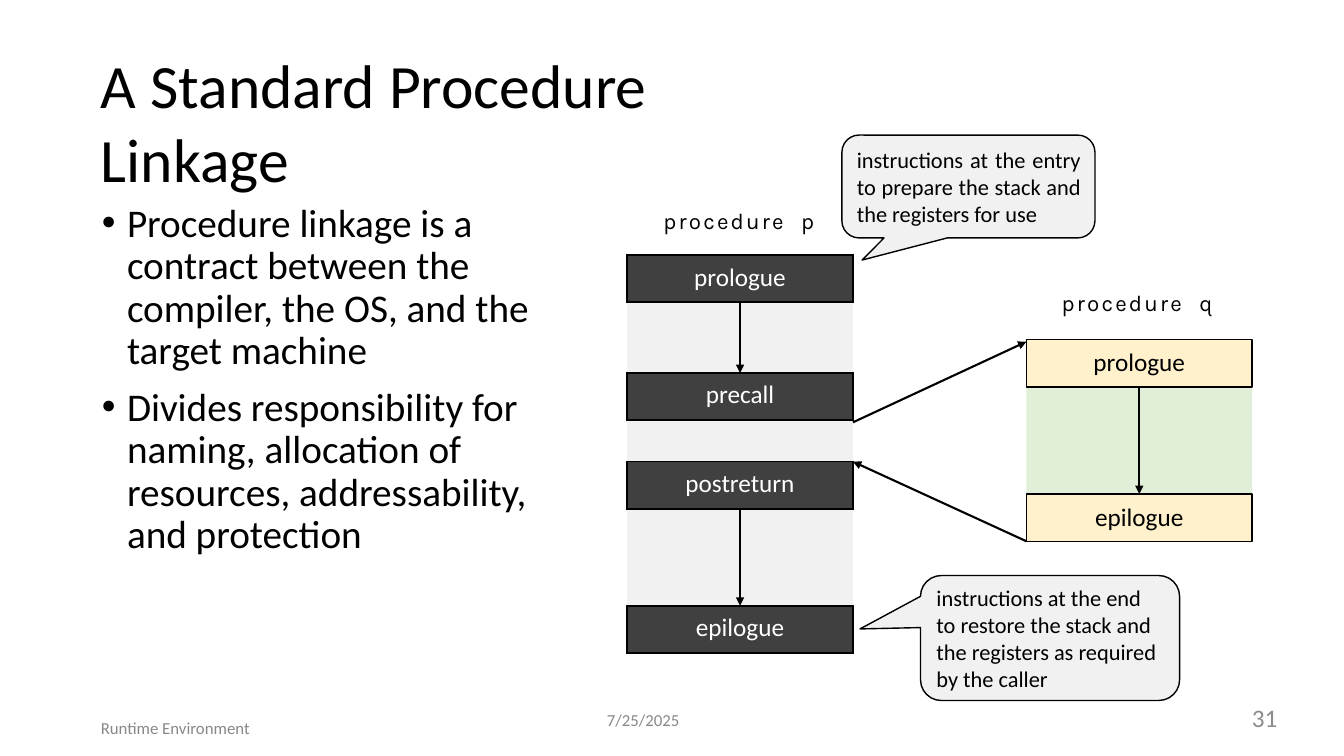
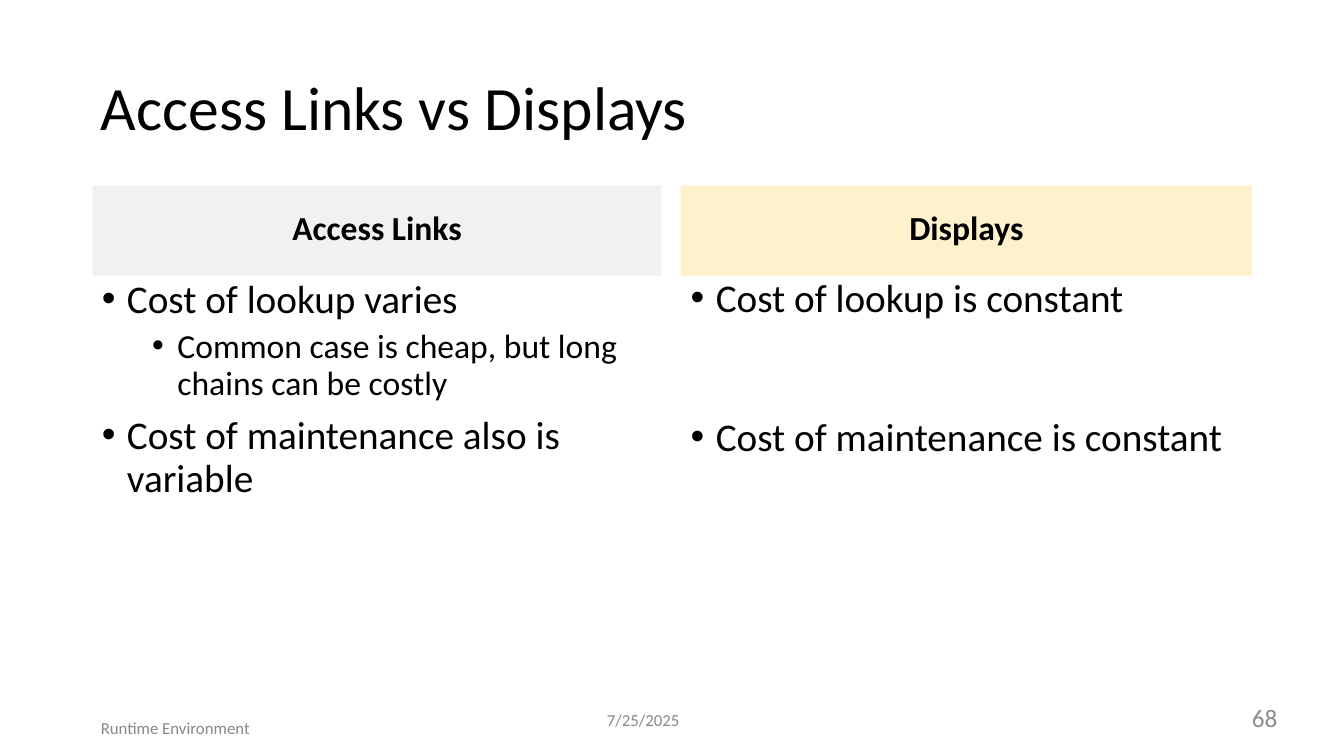
from itertools import accumulate

from lxml import etree
from pptx import Presentation
from pptx.dml.color import RGBColor
from pptx.enum.shapes import MSO_CONNECTOR, MSO_SHAPE
from pptx.enum.text import MSO_ANCHOR, PP_ALIGN
from pptx.oxml.ns import qn
from pptx.util import Inches, Pt

LEFT, CENTER, RIGHT = PP_ALIGN.LEFT, PP_ALIGN.CENTER, PP_ALIGN.RIGHT
JUSTIFY = PP_ALIGN.JUSTIFY
TOP, MIDDLE = MSO_ANCHOR.TOP, MSO_ANCHOR.MIDDLE
RECTANGLE, CALLOUT = MSO_SHAPE.RECTANGLE, MSO_SHAPE.ROUNDED_RECTANGULAR_CALLOUT
STRAIGHT = MSO_CONNECTOR.STRAIGHT

COLORS = {
    "ink": "000000",
    "white": "FFFFFF",
    "dark": "404040",
    "light": "F1F1F1",
    "cream": "FFF1CC",
    "green": "E1EFD9",
    "footer": "888888",
    "number": "8C8C8C",
}

# Paragraph formats
TITLE = {"size": 44}
HEADER = {"size": 24, "bold": True, "align": CENTER}
STAGE = {"size": 18, "align": CENTER}
LABEL = {"size": 16, "font": "Karla"}
NOTE = {"size": 16}
FOOTER = {"size": 12, "color": "footer", "spacing": Pt(12.4)}
NUMBER = {"size": 18, "color": "number", "align": RIGHT}
BULLET = {"size": 28, "bullet": 0.26}
TIGHT_BULLET = {**BULLET, "spacing": 0.9, "before": 10.5}
NEXT_BULLET = {**BULLET, "spacing": Pt(30.2), "before": 9.8}
SUB_BULLET = {"size": 24, "bullet": 0.76, "spacing": Pt(25.9), "before": 5.7}

# Content of the linkage slide
LINKAGE = {"title": "A Standard Procedure Linkage", "number": "31",
           "title_at": (1, 0.47, 6.5, 1.5)}
LINKAGE_POINTS = [
    ("Procedure linkage is a contract between the compiler, the OS, "
     "and the target machine", TIGHT_BULLET),
    ("Divides responsibility for naming, allocation of resources, "
     "addressability, and protection", TIGHT_BULLET),
]
# Rows of procedure p: name (empty for the body between stages), height
P_ROWS = [("prologue", 0.47), ("", 0.7), ("precall", 0.47), ("", 0.41),
          ("postreturn", 0.47), ("", 0.96), ("epilogue", 0.47)]
P_LEFT, P_TOP = 6.22, 2.53
Q_LEFT, Q_TOP = 10.18, 3.37
COLUMN_WIDTH, STAGE_HEIGHT, Q_BODY_HEIGHT = 2.24, 0.47, 1.06
LABELS = [("p", (6.58, 2.06, 1.7, 0.3)), ("q", (10.53, 2.87, 1.7, 0.3))]
# Text, place, tip of the pointer, alignment, right inset
CALLOUTS = [
    ("instructions at the entry to prepare the stack and the registers for use",
     (8.35, 1.34, 2.51, 1.02), (8.55, 2.58), JUSTIFY, 0.09),
    ("instructions at the end to restore the stack and the registers as "
     "required by the caller",
     (9.13, 5.71, 2.57, 1.24), (8.53, 6.24), LEFT, 0.14),
]

# Content of the comparison slide
COMPARISON = {"title": "Access Links vs Displays", "number": "68",
              "title_at": (1, 0.68, 10.89, 0.8)}
COLUMNS = [
    {"header": "Access Links", "fill": "light", "at": (0.92, 1.84, 5.64, 0.9),
     "lists": [((1, 2.72, 5.2, 2.3), [
         ("Cost of lookup varies", BULLET),
         ("Common case is cheap, but long chains can be costly", SUB_BULLET),
         ("Cost of maintenance also is variable", NEXT_BULLET)])]},
    {"header": "Displays", "fill": "cream", "at": (6.75, 1.84, 5.67, 0.9),
     "lists": [
         ((6.84, 2.71, 5.4, 0.5), [("Cost of lookup is constant", BULLET)]),
         ((6.84, 4.09, 5.4, 0.5),
          [("Cost of maintenance is constant", BULLET)])]},
]


def rgb(name):
    return RGBColor.from_string(COLORS[name])


def add_span(para, text, style, tracking=None):
    span = para.add_run()
    span.text = text
    font = {"name": style.get("font", "Calibri"), "size": Pt(style["size"]),
            "bold": style.get("bold", False)}
    for key, value in font.items():
        setattr(span.font, key, value)
    span.font.color.rgb = rgb(style.get("color", "ink"))
    if tracking:
        span.font._element.set("spc", str(round(tracking * 100)))


def format_para(para, style):
    layout = {"alignment": style.get("align", LEFT),
              "line_spacing": style.get("spacing"),
              "space_before": Pt(style.get("before", 0))}
    for key, value in layout.items():
        setattr(para, key, value)
    if "bullet" in style:
        props = para._p.get_or_add_pPr()
        props.set("marL", str(Inches(style["bullet"])))
        props.set("indent", str(Inches(-0.25)))
        etree.SubElement(props, qn("a:buFont")).set("typeface", "Arial")
        etree.SubElement(props, qn("a:buChar")).set("char", "•")


def fill_frame(frame, items, insets=(0, 0, 0, 0), anchor=TOP):
    """Write (text, style) items as the paragraphs of a frame."""
    frame.word_wrap = True
    frame.vertical_anchor = anchor
    for side, inset in zip(("left", "top", "right", "bottom"), insets):
        setattr(frame, f"margin_{side}", Inches(inset))
    for index, (text, style) in enumerate(items):
        para = frame.add_paragraph() if index else frame.paragraphs[0]
        format_para(para, style)
        add_span(para, text, style)


def add_text(page, place, items):
    box = page.shapes.add_textbox(*map(Inches, place))
    fill_frame(box.text_frame, items)
    return box


def add_block(page, place, fill, outlined=False, kind=RECTANGLE):
    block = page.shapes.add_shape(kind, *map(Inches, place))
    block.shadow.inherit = False
    block.fill.solid()
    block.fill.fore_color.rgb = rgb(fill)
    if outlined:
        block.line.color.rgb = rgb("ink")
        block.line.width = Pt(1)
    else:
        block.line.fill.background()
    return block


def add_arrow(page, start, end):
    arrow = page.shapes.add_connector(STRAIGHT, *map(Inches, start + end))
    arrow.line.color.rgb = rgb("ink")
    arrow.line.width = Pt(1.5)
    etree.SubElement(arrow.line._get_or_add_ln(), qn("a:tailEnd")).set(
        "type", "triangle")
    etree.SubElement(arrow._element.spPr, qn("a:effectLst"))


def set_borders(cell, sides):
    """Draw black borders on the named sides and none on the others."""
    props = cell._tc.get_or_add_tcPr()
    for side in "LRTB":
        line = etree.SubElement(props, qn(f"a:ln{side}"), w=str(Pt(1.5)))
        if side in sides:
            solid = etree.SubElement(line, qn("a:solidFill"))
            etree.SubElement(solid, qn("a:srgbClr")).set("val", COLORS["ink"])
        else:
            etree.SubElement(line, qn("a:noFill"))


def add_page(deck, info):
    """Start a page with the shared title and footers."""
    page = deck.slides.add_slide(deck.slide_layouts[6])
    for text, place, style in [
        (info["title"], info["title_at"], TITLE),
        ("Runtime Environment", (1, 7.15, 2.33, 0.35), FOOTER),
        ("7/25/2025", (6.02, 7.07, 1.28, 0.19), FOOTER),
        (info["number"], (9.6, 6.97, 3.07, 0.38), NUMBER),
    ]:
        add_text(page, place, [(text, style)])
    return page


def add_procedure_p(page):
    """Draw procedure p as a table; return the edges of its rows."""
    heights = [height for _, height in P_ROWS]
    place = (P_LEFT, P_TOP, COLUMN_WIDTH, sum(heights))
    table = page.shapes.add_table(len(P_ROWS), 1, *map(Inches, place)).table
    table.first_row = table.horz_banding = False
    for row, (name, height) in enumerate(P_ROWS):
        table.rows[row].height = Inches(height)
        cell = table.cell(row, 0)
        set_borders(cell, "LRTB" if name else "TB")
        cell.fill.solid()
        cell.fill.fore_color.rgb = rgb("dark" if name else "light")
        cell.margin_left = cell.margin_right = cell.margin_bottom = 0
        cell.margin_top = Inches(0.07 if name else 0)
        if name:
            para = cell.text_frame.paragraphs[0]
            format_para(para, STAGE)
            add_span(para, name, {**STAGE, "color": "white"})
    return list(accumulate(heights, initial=P_TOP))


def add_procedure_q(page):
    """Draw procedure q; return the top and bottom of its body."""
    body_top = Q_TOP + STAGE_HEIGHT
    body_bottom = body_top + Q_BODY_HEIGHT
    add_block(page, (Q_LEFT, body_top, COLUMN_WIDTH, Q_BODY_HEIGHT), "green")
    for name, top in (("prologue", Q_TOP), ("epilogue", body_bottom)):
        place = (Q_LEFT, top, COLUMN_WIDTH, STAGE_HEIGHT)
        stage = add_block(page, place, "cream", outlined=True)
        fill_frame(stage.text_frame, [(name, STAGE)], (0, 0.07, 0, 0))
    return body_top, body_bottom


def build_linkage(deck):
    page = add_page(deck, LINKAGE)
    add_text(page, (1, 2.02, 4.35, 3.57), LINKAGE_POINTS)
    edges = add_procedure_p(page)
    q_body = add_procedure_q(page)

    # Flow inside each procedure, then the call and the return
    p_center, q_center = (left + COLUMN_WIDTH / 2 for left in (P_LEFT, Q_LEFT))
    p_right = P_LEFT + COLUMN_WIDTH
    for row in (1, 5):
        add_arrow(page, (p_center, edges[row]), (p_center, edges[row + 1]))
    add_arrow(page, (q_center, q_body[0]), (q_center, q_body[1]))
    add_arrow(page, (p_right, edges[3] + 0.02), (Q_LEFT, Q_TOP + 0.02))
    add_arrow(page, (Q_LEFT, q_body[1] + STAGE_HEIGHT), (p_right, edges[4]))

    # Procedure names, with a wide gap before the letter
    for letter, place in LABELS:
        para = add_text(page, place, []).text_frame.paragraphs[0]
        for text, tracking in (("procedure", 1.6), (" ", 7), (letter, 0.5)):
            add_span(para, text, LABEL, tracking)

    for text, place, tip, align, right_inset in CALLOUTS:
        callout = add_block(page, place, "light", True, CALLOUT)
        left, top, width, height = place
        callout.adjustments[0] = (tip[0] - left) / width - 0.5
        callout.adjustments[1] = (tip[1] - top) / height - 0.5
        fill_frame(callout.text_frame, [(text, {**NOTE, "align": align})],
                   (0.1, 0, right_inset, 0), MIDDLE)


def build_comparison(deck):
    page = add_page(deck, COMPARISON)
    for column in COLUMNS:
        header = add_block(page, column["at"], column["fill"])
        fill_frame(header.text_frame, [(column["header"], HEADER)],
                   (0, 0.21, 0, 0))
        for place, items in column["lists"]:
            add_text(page, place, items)


def main():
    deck = Presentation()
    deck.slide_width, deck.slide_height = Inches(13.33), Inches(7.5)
    build_linkage(deck)
    build_comparison(deck)
    deck.save("out.pptx")


if __name__ == "__main__":
    main()
